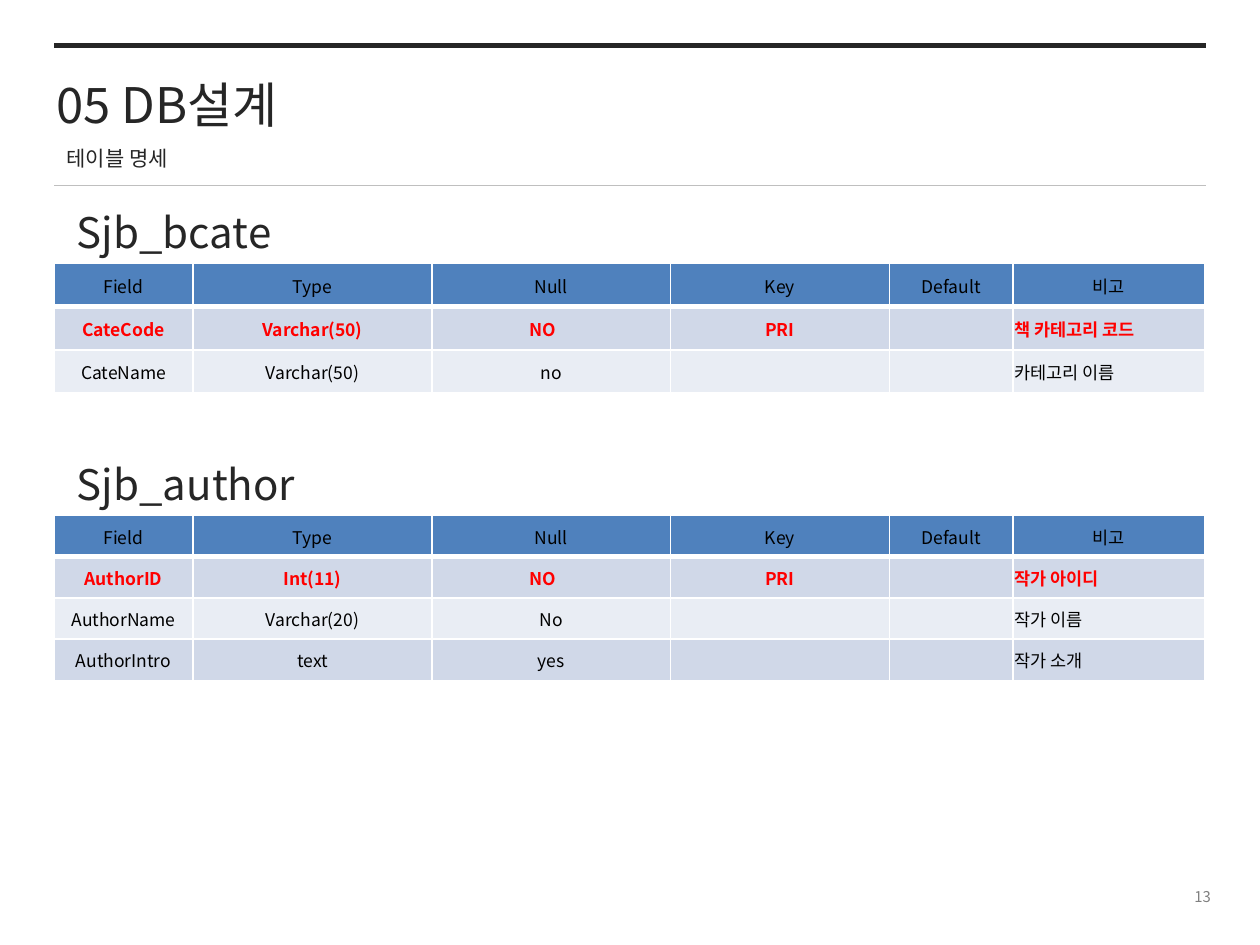
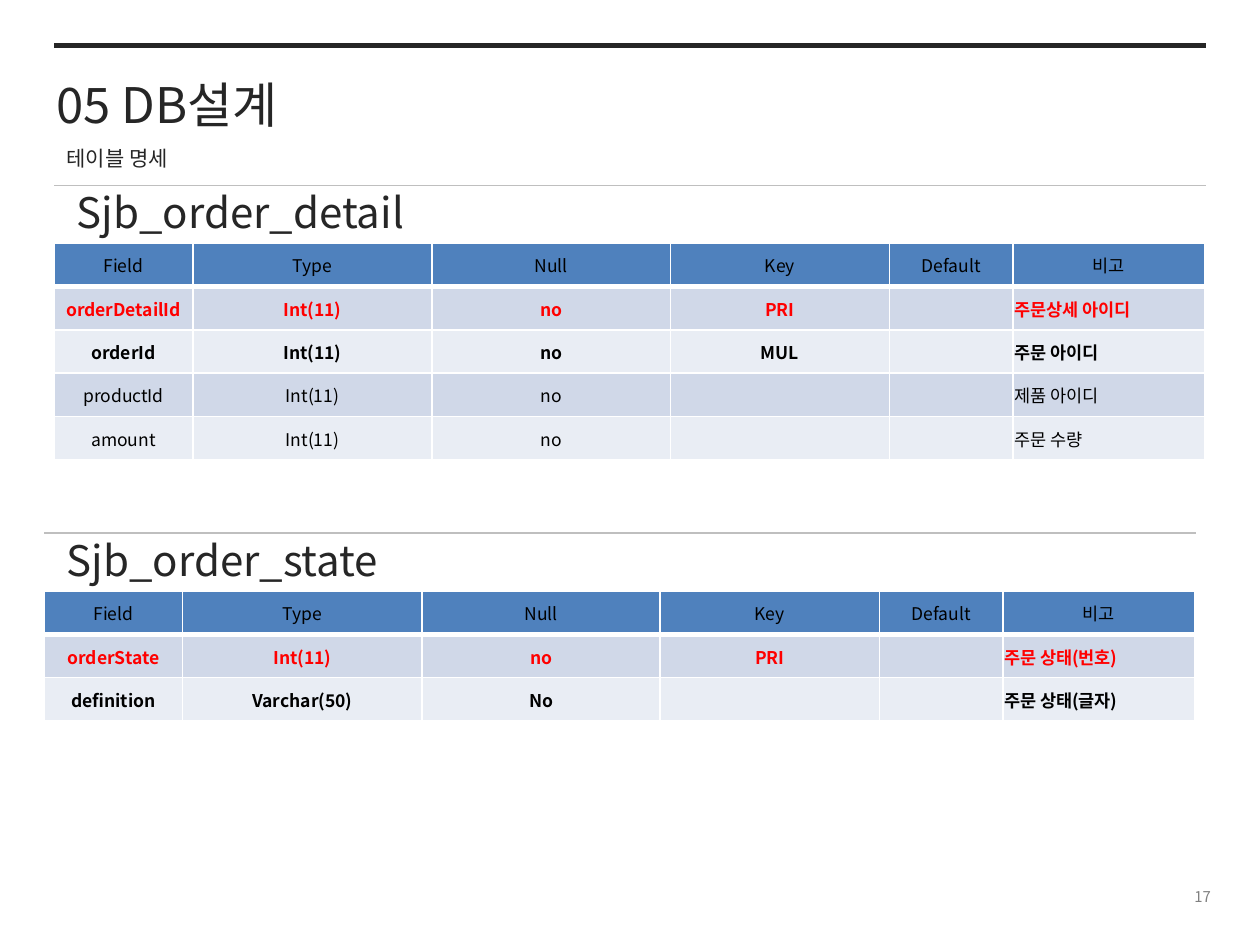
from dataclasses import dataclass

from lxml.etree import SubElement
from pptx import Presentation
from pptx.dml.color import RGBColor
from pptx.enum.shapes import MSO_CONNECTOR
from pptx.enum.text import MSO_ANCHOR as Anchor, MSO_AUTO_SIZE as AutoSize, PP_ALIGN as Align
from pptx.oxml.ns import qn
from pptx.slide import Slide
from pptx.table import _Cell as Cell
from pptx.util import Inches, Pt

FONT = "Noto Sans CJK KR"
INK, RULE_GRAY, PAGE_GRAY = "262626", "BFBFBF", "808080"
BLACK, WHITE, KEY_RED = "000000", "FFFFFF", "FF0000"
HEADER_BLUE, BANDS = "4F81BD", ("D0D8E8", "E9EDF4")

LEFT, RULE_WIDTH = 0.43, 9.14
HEADINGS = ("Field", "Type", "Null", "Key", "Default", "비고")
COLUMN_WIDTHS = (1.1, 1.9, 1.89, 1.74, 0.98, 1.52)
CAPTION_HEIGHT = 0.5


@dataclass(frozen=True)
class Field:
    name: str
    type: str
    null: str
    key: str
    note: str
    color: str = BLACK
    bold: bool = False

    def values(self) -> tuple[str, ...]:
        return self.name, self.type, self.null, self.key, "", self.note


@dataclass(frozen=True)
class TableSpec:
    name: str
    left: float
    top: float
    height: float
    fields: tuple[Field, ...]


@dataclass(frozen=True)
class Page:
    number: int
    tables: tuple[TableSpec, ...]
    divider_top: float | None = None


def primary(name: str, kind: str, null: str, note: str) -> Field:
    return Field(name, kind, null, "PRI", note, KEY_RED, True)


PAGES = (
    Page(13, (
        TableSpec("Sjb_bcate", LEFT, 2.09, 1.03, (
            primary("CateCode", "Varchar(50)", "NO　", "책 카테고리 코드"),
            Field("CateName", "Varchar(50)", "no", "", "카테고리 이름"),
        )),
        TableSpec("Sjb_author", LEFT, 4.09, 1.31, (
            primary("AuthorID", "Int(11)", "NO　", "작가 아이디"),
            Field("AuthorName", "Varchar(20)", "No", "", "작가 이름"),
            Field("AuthorIntro", "text", "yes", "", "작가 소개"),
        )),
    )),
    Page(17, (
        TableSpec("Sjb_order_detail", LEFT, 1.93, 1.72, (
            primary("orderDetailId", "Int(11)", "no", "주문상세 아이디"),
            Field("orderId", "Int(11)", "no", "MUL", "주문 아이디", bold=True),
            Field("productId", "Int(11)", "no", "", "제품 아이디"),
            Field("amount", "Int(11)", "no", "", "주문 수량"),
        )),
        TableSpec("Sjb_order_state", 0.35, 4.69, 1.03, (
            primary("orderState", "Int(11)", "no", "주문 상태(번호)"),
            Field("definition", "Varchar(50)", "No", "", "주문 상태(글자)", bold=True),
        )),
    ), divider_top=4.23),
)


def rgb(color: str) -> RGBColor:
    return RGBColor.from_string(color)


def style_font(paragraph, size: float, color: str, bold: bool = False) -> None:
    font = paragraph.font
    font.size, font.bold, font.name = Pt(size), bold, FONT
    font.color.rgb = rgb(color)
    SubElement(font._element, qn("a:ea"), typeface=FONT)


def add_text(slide: Slide, text: str, left: float, top: float, width: float, height: float,
             size: float, color: str = INK):
    frame = slide.shapes.add_textbox(
        Inches(left), Inches(top), Inches(width), Inches(height)).text_frame
    frame.word_wrap = True
    frame.auto_size = AutoSize.SHAPE_TO_FIT_TEXT
    frame.text = text
    style_font(frame.paragraphs[0], size, color)
    return frame


def add_rule(slide: Slide, left: float, top: float, color: str, weight: float) -> None:
    rule = slide.shapes.add_connector(
        MSO_CONNECTOR.STRAIGHT,
        Inches(left), Inches(top), Inches(left + RULE_WIDTH), Inches(top))
    rule.line.color.rgb = rgb(color)
    rule.line.width = Pt(weight)
    SubElement(rule._element.spPr, qn("a:effectLst"))


def set_borders(cell: Cell, top: float, bottom: float) -> None:
    properties = cell._tc.get_or_add_tcPr()
    for side, weight in (("L", 1), ("R", 1), ("T", top), ("B", bottom)):
        line = SubElement(properties, qn(f"a:ln{side}"), w=str(Pt(weight)))
        fill = SubElement(line, qn("a:solidFill"))
        SubElement(fill, qn("a:srgbClr"), val=WHITE)


def fill_cell(cell: Cell, text: str, fill: str, color: str, bold: bool, align: Align) -> None:
    cell.fill.solid()
    cell.fill.fore_color.rgb = rgb(fill)
    cell.margin_left = cell.margin_right = cell.margin_top = Inches(0.01)
    cell.margin_bottom = 0
    cell.vertical_anchor = Anchor.MIDDLE
    cell.text = text
    paragraph = cell.text_frame.paragraphs[0]
    paragraph.alignment = align
    style_font(paragraph, 10, color, bold)


def add_field_table(slide: Slide, spec: TableSpec) -> None:
    caption = add_text(slide, spec.name, spec.left, spec.top - CAPTION_HEIGHT,
                       5.75, CAPTION_HEIGHT, 24)
    caption.margin_left = Inches(0.18)

    table = slide.shapes.add_table(
        len(spec.fields) + 1, len(HEADINGS), Inches(spec.left), Inches(spec.top),
        Inches(sum(COLUMN_WIDTHS)), Inches(spec.height)).table
    table.first_row = table.horz_banding = False
    for column, width in zip(table.columns, COLUMN_WIDTHS):
        column.width = Inches(width)

    for c, heading in enumerate(HEADINGS):
        cell = table.cell(0, c)
        set_borders(cell, 1, 3)
        fill_cell(cell, heading, HEADER_BLUE, BLACK, False, Align.CENTER)
    for r, field in enumerate(spec.fields):
        for c, value in enumerate(field.values()):
            cell = table.cell(r + 1, c)
            set_borders(cell, 3 if r == 0 else 1, 1)
            align = Align.LEFT if HEADINGS[c] == "비고" else Align.CENTER
            fill_cell(cell, value, BANDS[r % 2], field.color, field.bold, align)


def add_frame(slide: Slide, number: int) -> None:
    """Draw the rules, titles and page number that every slide carries."""
    add_rule(slide, LEFT, 0.36, INK, 3)
    add_rule(slide, LEFT, 1.47, RULE_GRAY, 0.75)
    add_text(slide, "05 DB설계", 0.35, 0.54, 7.56, 0.57, 28)
    subtitle = add_text(slide, "테이블 명세", LEFT, 1.08, 7.56, 0.31, 12)
    subtitle.paragraphs[0].line_spacing = Pt(16)
    page_number = add_text(slide, str(number), 7.6, 6.98, 2.11, 0.27, 8.5, PAGE_GRAY)
    page_number.auto_size = AutoSize.NONE
    page_number.vertical_anchor = Anchor.MIDDLE
    page_number.paragraphs[0].alignment = Align.RIGHT


def main() -> None:
    deck = Presentation()
    deck.slide_width, deck.slide_height = Inches(10), Inches(7.5)
    for page in PAGES:
        slide = deck.slides.add_slide(deck.slide_layouts[6])
        add_frame(slide, page.number)
        if page.divider_top is not None:
            add_rule(slide, 0.35, page.divider_top, RULE_GRAY, 0.75)
        for spec in page.tables:
            add_field_table(slide, spec)
    deck.save("out.pptx")


if __name__ == "__main__":
    main()
